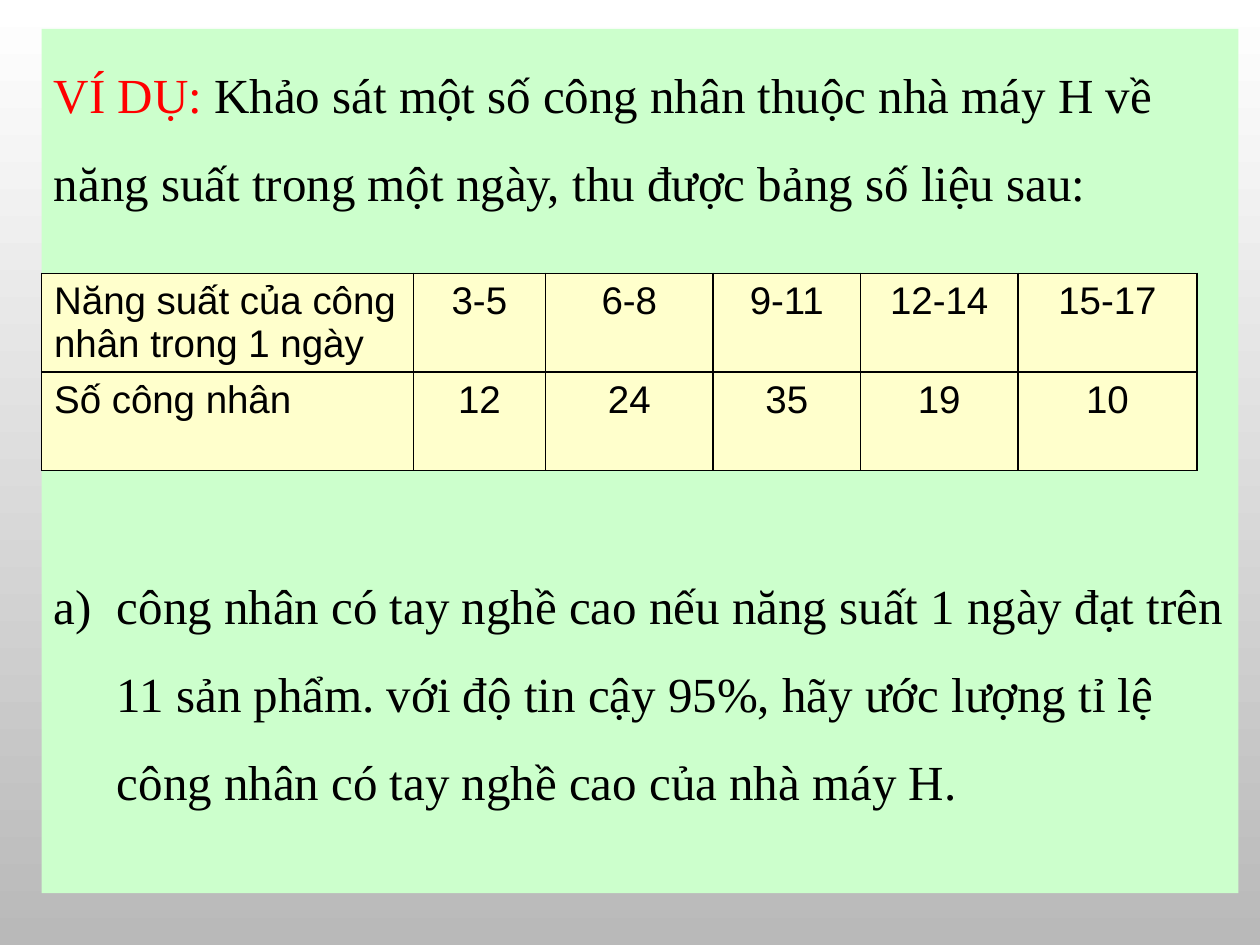
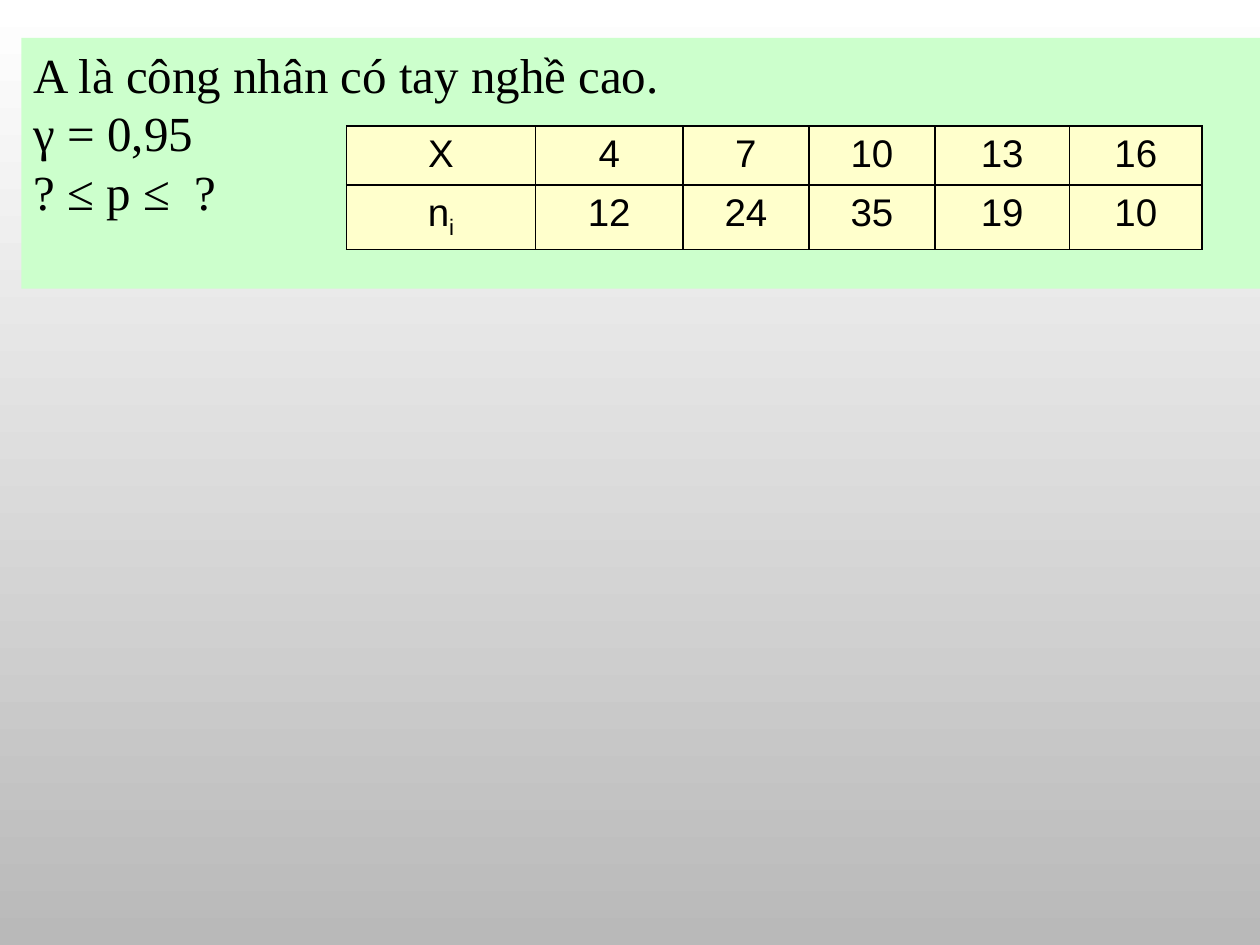
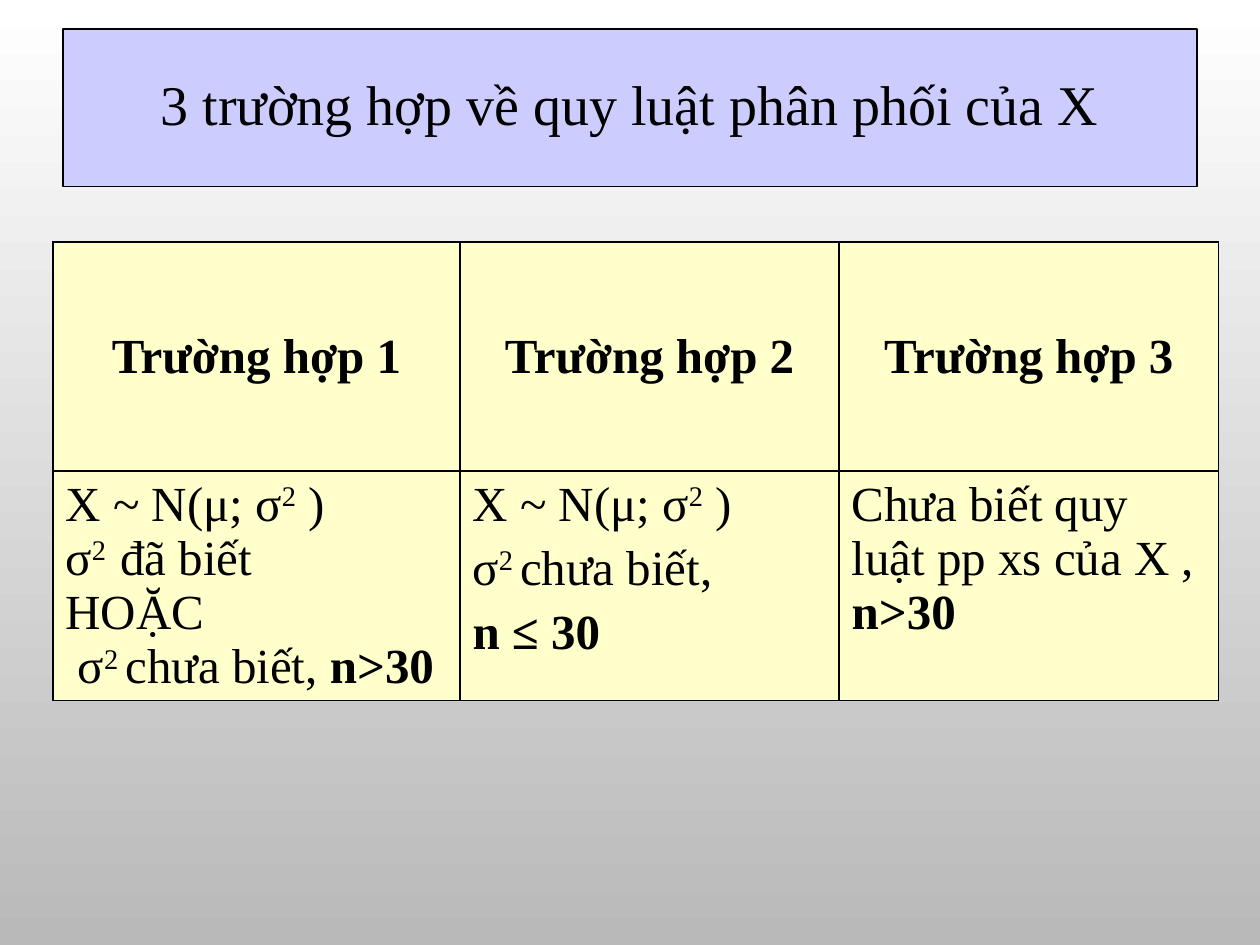
from dataclasses import dataclass
from itertools import product

from lxml import etree
from pptx import Presentation
from pptx.dml.color import RGBColor
from pptx.enum.shapes import MSO_SHAPE
from pptx.enum.text import MSO_ANCHOR, PP_ALIGN
from pptx.oxml.ns import qn
from pptx.util import Inches, Pt


@dataclass(frozen=True)
class Theme:
    ink: str = "000000"
    accent: str = "FF0000"
    panel: str = "CCFFCC"
    banner: str = "CCCCFF"
    cell: str = "FFFFCC"
    backdrop: tuple = ("FFFFFF", "B9B9B9")
    serif: str = "Times New Roman"
    sans: str = "Arial"
    title_size: int = 32
    body_size: int = 28
    data_size: int = 22
    border_width: float = 1
    outline_width: float = 0.75


THEME = Theme()
CENTER = PP_ALIGN.CENTER


@dataclass(frozen=True)
class Span:
    """A stretch of text; baseline is a percentage, above or below the line."""
    text: str
    bold: bool = False
    baseline: int = 0
    color: str = THEME.ink


SQUARED = Span("2", baseline=30)
NORMAL_LAW = [Span("X ~ N(μ; σ"), SQUARED, Span(" )")]


def rgb(value):
    return RGBColor.from_string(value)


def write(frame, lines, font=THEME.serif, size=THEME.body_size, align=PP_ALIGN.LEFT,
          leading=None, gap=0):
    """Fill a text frame; each line is a string or a list of spans."""
    frame.word_wrap = True
    for index, line in enumerate(lines):
        paragraph = frame.paragraphs[0] if index == 0 else frame.add_paragraph()
        paragraph.alignment = align
        paragraph.space_before = Pt(gap if index else 0)
        if leading:
            paragraph.line_spacing = leading
        for span in [Span(line)] if isinstance(line, str) else line:
            run = paragraph.add_run()
            run.text = span.text
            run.font.name, run.font.size = font, Pt(size)
            run.font.bold = span.bold
            run.font.color.rgb = rgb(span.color)
            if span.baseline:
                run._r.get_or_add_rPr().set("baseline", str(span.baseline * 1000))


def add_panel(slide, left, top, width, height, fill, outlined=False, anchor=MSO_ANCHOR.TOP):
    panel = slide.shapes.add_shape(MSO_SHAPE.RECTANGLE, Inches(left), Inches(top),
                                   Inches(width), Inches(height))
    panel.shadow.inherit = False
    panel.fill.solid()
    panel.fill.fore_color.rgb = rgb(fill)
    if outlined:
        panel.line.color.rgb = rgb(THEME.ink)
        panel.line.width = Pt(THEME.outline_width)
    else:
        panel.line.fill.background()
    panel.text_frame.vertical_anchor = anchor
    return panel.text_frame


def letter_item(paragraph, indent):
    """Give a paragraph a hanging a) label."""
    properties = paragraph._p.get_or_add_pPr()
    properties.set("marL", str(Inches(indent)))
    properties.set("indent", str(-Inches(indent)))
    etree.SubElement(properties, qn("a:buFont"), typeface=THEME.serif)
    etree.SubElement(properties, qn("a:buAutoNum"), type="alphaLcParenR")


def style_cell(cell):
    properties = cell._tc.get_or_add_tcPr()
    for side in ("lnL", "lnR", "lnT", "lnB"):
        border = etree.SubElement(properties, qn(f"a:{side}"), w=str(Pt(THEME.border_width)))
        paint = etree.SubElement(border, qn("a:solidFill"))
        etree.SubElement(paint, qn("a:srgbClr"), val=THEME.ink)
    cell.fill.solid()
    cell.fill.fore_color.rgb = rgb(THEME.cell)


def add_grid(slide, left, top, widths, heights):
    """Add an empty bordered table."""
    grid = slide.shapes.add_table(len(heights), len(widths), Inches(left), Inches(top),
                                  Inches(sum(widths)), Inches(sum(heights))).table
    grid.first_row = grid.horz_banding = False
    for column, width in zip(grid.columns, widths):
        column.width = Inches(width)
    for row, height in zip(grid.rows, heights):
        row.height = Inches(height)
    for row, column in product(range(len(heights)), range(len(widths))):
        style_cell(grid.cell(row, column))
    return grid


def add_data_table(slide, left, top, widths, heights, rows, label_align):
    grid = add_grid(slide, left, top, widths, heights)
    for row, values in enumerate(rows):
        for column, value in enumerate(values):
            write(grid.cell(row, column).text_frame, [value], THEME.sans, THEME.data_size,
                  CENTER if column else label_align)


def paint_backdrop(master):
    fill = master.background.fill
    fill.gradient()
    fill.gradient_angle = 270
    for stop, color, position in zip(fill.gradient_stops, THEME.backdrop, (0, 1)):
        stop.color.rgb = rgb(color)
        stop.position = position


def build_survey(slide, counts):
    problem = add_panel(slide, 0.33, 0.23, 9.5, 6.86, THEME.panel)
    write(problem, [
        [Span("VÍ DỤ: ", color=THEME.accent),
         Span("Khảo sát một số công nhân thuộc nhà máy H về năng suất trong một ngày, "
              "thu được bảng số liệu sau:")],
        "công nhân có tay nghề cao nếu năng suất 1 ngày đạt trên 11 sản phẩm. với độ tin cậy "
        "95%, hãy ước lượng tỉ lệ công nhân có tay nghề cao của nhà máy H.",
    ], leading=1.5, gap=191)
    introduction, question = problem.paragraphs
    introduction.space_before = Pt(10)
    letter_item(question, 0.5)
    add_data_table(slide, 0.33, 2.17, [2.95, 1.05, 1.33, 1.17, 1.25, 1.42], [0.78, 0.78], [
        ["Năng suất của công nhân trong 1 ngày", "3-5", "6-8", "9-11", "12-14", "15-17"],
        ["Số công nhân", *counts],
    ], PP_ALIGN.LEFT)


def build_estimate(slide, counts):
    given = add_panel(slide, 0.17, 0.3, 9.83, 1.99, THEME.panel)
    write(given, ["A là công nhân có tay nghề cao.", "γ = 0,95", "? ≤ p ≤  ?"])
    add_data_table(slide, 2.75, 1, [1.5, 1.17, 1, 1, 1.07, 1.05], [0.47, 0.51], [
        ["X", "4", "7", "10", "13", "16"],
        [[Span("n"), Span("i", baseline=-25)], *counts],
    ], CENTER)


def build_cases(slide):
    title = add_panel(slide, 0.5, 0.23, 9, 1.25, THEME.banner, True, MSO_ANCHOR.MIDDLE)
    write(title, ["3 trường hợp về quy luật phân phối của X"], size=THEME.title_size,
          align=CENTER, leading=0.9)
    large_sample = Span("n>30", bold=True)
    cases = [
        ([NORMAL_LAW,
          [Span("σ"), Span("2  ", baseline=30), Span("đã biết")],
          "HOẶC",
          [Span(" ", bold=True), Span("σ"), Span("2 ", baseline=30),
           Span("chưa biết, "), large_sample]], 0),
        ([NORMAL_LAW,
          [Span("σ"), Span("2 ", baseline=30), Span("chưa biết,")],
          [Span("n ≤ 30", bold=True)]], 5.6),
        ([[Span("Chưa biết quy luật pp xs của X , "), large_sample]], 0),
    ]
    grid = add_grid(slide, 0.42, 1.92, [3.23, 3.01, 3.01], [1.82, 1.82])
    for column, (conditions, gap) in enumerate(cases):
        heading = grid.cell(0, column)
        heading.vertical_anchor = MSO_ANCHOR.MIDDLE
        write(heading.text_frame, [[Span(f"Trường hợp {column + 1}", bold=True)]], align=CENTER)
        write(grid.cell(1, column).text_frame, conditions, gap=gap)


def main():
    deck = Presentation()
    deck.slide_width, deck.slide_height = Inches(10), Inches(7.5)
    paint_backdrop(deck.slide_master)
    blank = deck.slide_layouts[6]
    worker_counts = ["12", "24", "35", "19", "10"]
    build_survey(deck.slides.add_slide(blank), worker_counts)
    build_estimate(deck.slides.add_slide(blank), worker_counts)
    build_cases(deck.slides.add_slide(blank))
    deck.save("out.pptx")


if __name__ == "__main__":
    main()
